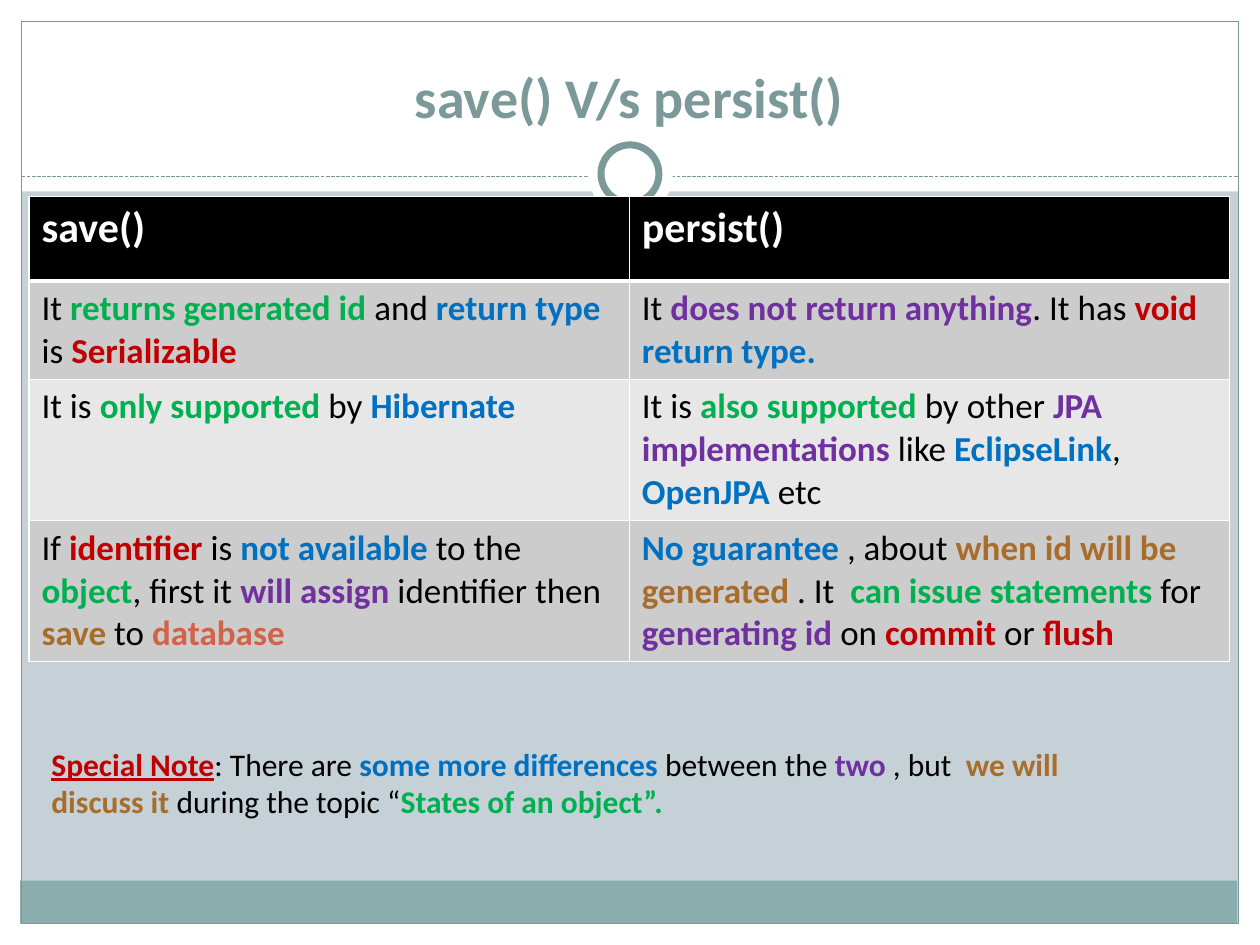
import pptx
import pptx.util
import pptx.dml.color
import pptx.enum.dml
import pptx.enum.shapes
import pptx.enum.text
import pptx.oxml
import pptx.oxml.ns
from pptx.util import Inches

FONT = "Calibri"
WHITE, BLACK, TEAL = "FFFFFF", "000000", "7C999A"
GREEN, BLUE, RED = "00B050", "0070C0", "C00000"
PURPLE, BROWN, CORAL = "7030A0", "A96D2B", "D16349"

HEADERS = ["save()", "persist()"]
COMPARISON = [
    (
        [("It ", BLACK), ("returns generated id ", GREEN), ("and ", BLACK),
         ("return type ", BLUE), ("is ", BLACK), ("Serializable ", RED)],
        [("It ", BLACK), ("does not return anything", PURPLE),
         (". It has ", BLACK), ("void ", RED), ("return type. ", BLUE)],
    ),
    (
        [("It is ", BLACK), ("only supported ", GREEN), ("by ", BLACK),
         ("Hibernate ", BLUE)],
        [("It is ", BLACK), ("also supported ", GREEN), ("by other ", BLACK),
         ("JPA implementations ", PURPLE), ("like ", BLACK),
         ("EclipseLink", BLUE), (", ", BLACK), ("OpenJPA", BLUE),
         (" etc", BLACK)],
    ),
    (
        [("If ", BLACK), ("identifier", RED), (" is ", BLACK),
         ("not available ", BLUE), ("to the ", BLACK), ("object", GREEN),
         (", first it ", BLACK), ("will assign ", PURPLE),
         ("identifier then ", BLACK), ("save", BROWN), (" to ", BLACK),
         ("database", CORAL)],
        [("No guarantee ", BLUE), (", about ", BLACK),
         ("when id will be generated ", BROWN), (". It  ", BLACK),
         ("can issue statements ", GREEN), ("for ", BLACK),
         ("generating id ", PURPLE), ("on ", BLACK), ("commit", RED),
         (" or ", BLACK), ("flush", RED)],
    ),
]
NOTE = [
    [("Special Note", RED), (": There are ", BLACK),
     ("some more differences ", BLUE), ("between the ", BLACK),
     ("two", PURPLE), (" , but  ", BLACK), ("we will", BROWN)],
    [("discuss it", BROWN), (" during the topic “", BLACK),
     ("States of an object”.", GREEN)],
]


def rgb(value):
    return pptx.dml.color.RGBColor.from_string(value)


def paint(fill, color):
    fill.solid()
    fill.fore_color.rgb = rgb(color)


def add_runs(paragraph, pieces, size):
    for text, color in pieces:
        run = paragraph.add_run()
        run.text = text
        run.font.name = FONT
        run.font.size = pptx.util.Pt(size)
        run.font.bold = color != BLACK
        run.font.color.rgb = rgb(color)


def add_panel(slide, box, fill=None, line=None, width=0.75, kind="RECTANGLE"):
    preset = getattr(pptx.enum.shapes.MSO_SHAPE, kind)
    panel = slide.shapes.add_shape(preset, *map(Inches, box))
    panel.shadow.inherit = False
    if fill:
        paint(panel.fill, fill)
    else:
        panel.fill.background()
    if line:
        panel.line.color.rgb = rgb(line)
        panel.line.width = pptx.util.Pt(width)
    else:
        panel.line.fill.background()


def add_divider(slide, left, right, y):
    divider = slide.shapes.add_connector(
        pptx.enum.shapes.MSO_CONNECTOR.STRAIGHT,
        Inches(left), Inches(y), Inches(right), Inches(y))
    divider.line.color.rgb = rgb(TEAL)
    divider.line.width = pptx.util.Pt(0.75)
    divider.line.dash_style = pptx.enum.dml.MSO_LINE.SQUARE_DOT
    properties = divider.element.spPr
    properties.append(pptx.oxml.parse_xml(
        f"<a:effectLst {pptx.oxml.ns.nsdecls('a')}/>"))


def add_frame(slide):
    for box in [(0, 7.33, 10, 0.17), (0, 0, 10, 1.52),
                (0, 0, 0.17, 7.5), (9.83, 0, 0.17, 7.5)]:
        add_panel(slide, box, WHITE)
    add_panel(slide, (0.16, 6.99, 9.66, 0.34), "8CADAE")
    add_panel(slide, (0.17, 0.17, 9.66, 7.16), line=TEAL)
    add_divider(slide, 0.17, 9.83, 1.4)
    add_panel(slide, (4.67, 1.05, 0.67, 0.67), WHITE, kind="OVAL")
    add_panel(slide, (4.77, 1.15, 0.46, 0.46), WHITE, TEAL, 4, "OVAL")


def set_title(slide, text):
    title = slide.shapes.title
    title.element.getparent().append(title.element)
    title.left, title.top = Inches(0.33), Inches(0.25)
    title.width, title.height = Inches(9.33), Inches(0.83)
    title.text_frame.vertical_anchor = pptx.enum.text.MSO_ANCHOR.BOTTOM
    heading = title.text_frame.paragraphs[0]
    heading.alignment = pptx.enum.text.PP_ALIGN.CENTER
    add_runs(heading, [(text, TEAL)], 32)


def set_borders(cell, top, bottom):
    properties = cell._tc.get_or_add_tcPr()
    widths = {"lnL": 1, "lnR": 1, "lnT": top, "lnB": bottom}
    for index, (side, width) in enumerate(widths.items()):
        properties.insert(index, pptx.oxml.parse_xml(
            f'<a:{side} {pptx.oxml.ns.nsdecls("a")} w="{pptx.util.Pt(width)}">'
            f'<a:solidFill><a:srgbClr val="{WHITE}"/></a:solidFill>'
            f'</a:{side}>'))


def add_comparison(slide):
    rows = [[[(name, WHITE)] for name in HEADERS], *COMPARISON]
    fills = [BLACK, "CCCCCC", "E7E7E7", "CCCCCC"]
    table = slide.shapes.add_table(
        len(rows), len(HEADERS), Inches(0.23), Inches(1.56),
        Inches(9.53), Inches(0.67 * len(rows))).table
    for r, (row, fill) in enumerate(zip(rows, fills)):
        for c, pieces in enumerate(row):
            cell = table.cell(r, c)
            paint(cell.fill, fill)
            set_borders(cell, 3 if r == 1 else 1, 3 if r == 0 else 1)
            add_runs(cell.text_frame.paragraphs[0], pieces,
                     24 if r == 0 else 20)


def add_note(slide):
    box = slide.shapes.add_textbox(
        Inches(0.31), Inches(5.86), Inches(9.53), Inches(1.01))
    frame = box.text_frame
    frame.word_wrap = True
    for index, pieces in enumerate(NOTE):
        line = frame.add_paragraph() if index else frame.paragraphs[0]
        add_runs(line, pieces, 18)
    frame.paragraphs[0].runs[0].font.underline = True


def main():
    deck = pptx.Presentation()
    deck.slide_width, deck.slide_height = Inches(10), Inches(7.5)
    slide = deck.slides.add_slide(deck.slide_layouts[5])
    paint(slide.background.fill, "C5D1D7")
    add_frame(slide)
    set_title(slide, "save() V/s persist()")
    add_comparison(slide)
    add_note(slide)
    deck.save("out.pptx")


if __name__ == "__main__":
    main()
